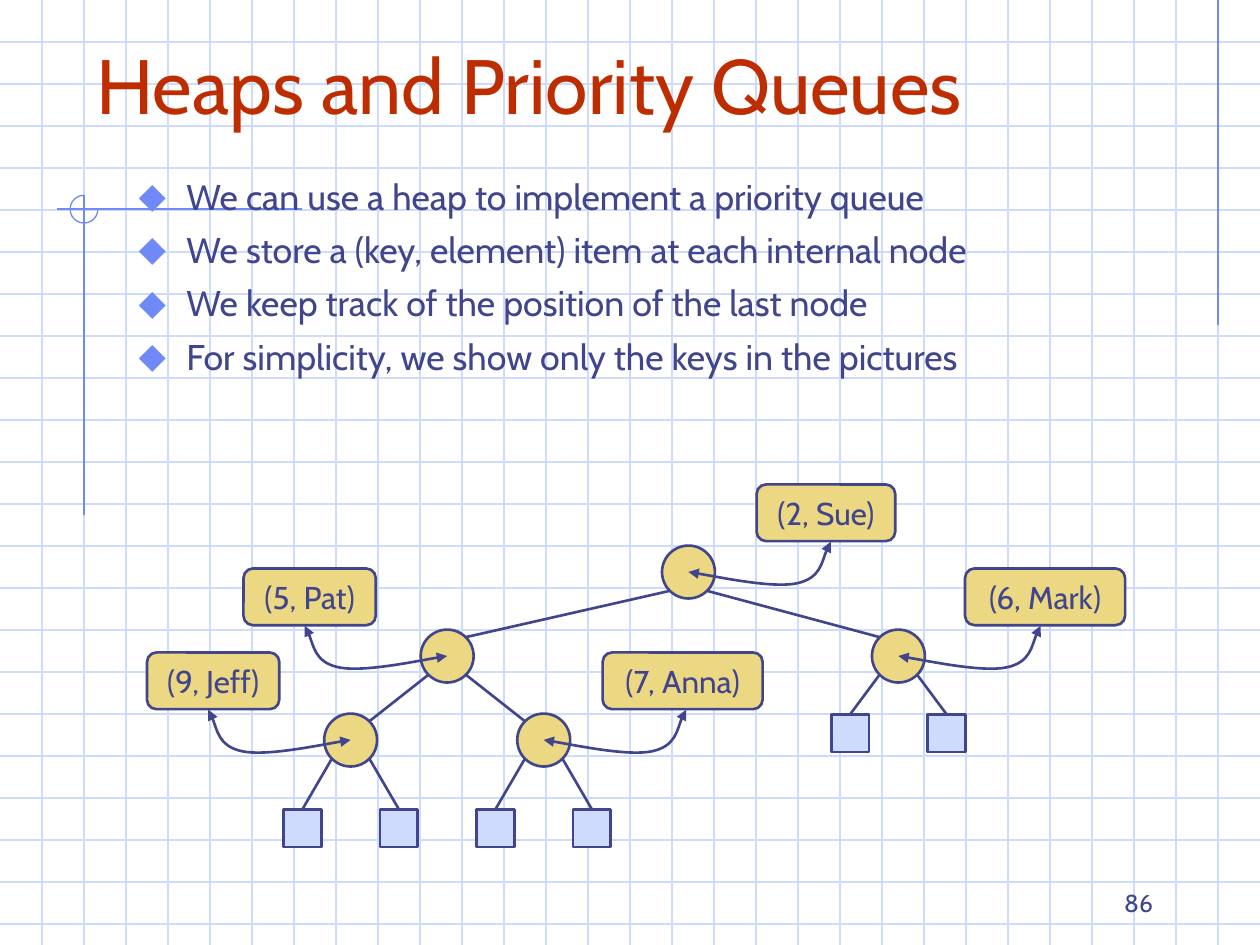
from lxml.etree import SubElement
from pptx import Presentation
from pptx.dml.color import RGBColor
from pptx.enum.shapes import MSO_CONNECTOR as Connector, MSO_SHAPE as Shape
from pptx.enum.text import MSO_ANCHOR as Anchor, MSO_AUTO_SIZE as AutoSize, PP_ALIGN as Align
from pptx.oxml.ns import qn
from pptx.util import Inches, Pt

FONT = "Cabin"
INK, RED, BLUE = "40458C", "BE2D00", "6F89F7"
PALE, GOLD = "CFDBFD", "ECD882"
CELL = 1 / 3  # graph paper square, in inches
COLUMNS, ROWS = 30, 22.5

# Tree nodes: name -> (column, row)
NODES = {"2": (8, 0), "5": (3, 1), "6": (12.35, 1), "9": (1, 2), "7": (5, 2)}
EDGES = [("2", "5"), ("2", "6"), ("5", "9"), ("5", "7")]
LEAF_ROWS = {"9": 3.05, "7": 3.05, "6": 1.92}
# Labels: node -> (text, column offset from the node, width)
LABELS = {
    "2": ("(2, Sue)", 2.85, 1.1),
    "6": ("(6, Mark)", 3.04, 1.27),
    "5": ("(5, Pat)", -2.85, 1.05),
    "9": ("(9, Jeff)", -2.85, 1.05),
    "7": ("(7, Anna)", 2.88, 1.27),
}
# Pointer curve from a node's centre: start, then two cubic segments
CURVE = [(0, 0), (0.14, 0.02), (0.67, 0.13), (0.86, 0.09),
         (1.05, 0.05), (1.08, -0.17), (1.13, -0.24)]
BULLETS = [
    "We can use a heap to implement a priority queue",
    "We store a (key, element) item at each internal node",
    "We keep track of the position of the last node",
    "For simplicity, we show only the keys in the pictures",
]


def color(value):
    return RGBColor.from_string(value)


def style_font(paragraph, size, value=INK):
    font = paragraph.font
    font.name, font.size = FONT, Pt(size)
    font.color.rgb = color(value)


def style_shape(shape, fill, line=INK, width=1.5):
    shape.shadow.inherit = False
    if fill:
        shape.fill.solid()
        shape.fill.fore_color.rgb = color(fill)
    else:
        shape.fill.background()
    shape.line.color.rgb = color(line)
    shape.line.width = Pt(width)


def add_line(slide, start, end, value=INK, width=1.5):
    points = [Inches(length) for length in (*start, *end)]
    line = slide.shapes.add_connector(Connector.STRAIGHT, *points)
    line.line.color.rgb = color(value)
    line.line.width = Pt(width)
    SubElement(line._element.spPr, qn("a:effectLst"))
    return line


def add_centred(slide, kind, x, y, width, height, fill):
    box = [Inches(n) for n in (x - width / 2, y - height / 2, width, height)]
    shape = slide.shapes.add_shape(kind, *box)
    style_shape(shape, fill)
    return shape


def place(shape, left, top, width, height):
    shape.left, shape.top = Inches(left), Inches(top)
    shape.width, shape.height = Inches(width), Inches(height)


def draw_background(slide, width, height):
    # Graph paper
    for row in range(1, int(ROWS) + 1):
        add_line(slide, (0, row * CELL), (width, row * CELL), PALE, 0.75)
    for column in range(1, COLUMNS):
        add_line(slide, (column * CELL, 0), (column * CELL, height), PALE, 0.75)
    # Drafting marks
    x, y, radius = 2 * CELL, 1.66, 0.11
    add_line(slide, (29 * CELL, 0), (29 * CELL, 2.58), BLUE, 0.75)
    add_line(slide, (2.4, y), (0.45, y), BLUE, 0.75)
    add_line(slide, (x, y - radius), (x, 4.09), BLUE, 0.75)
    arc = add_centred(slide, Shape.ARC, x, y, 2 * radius, 2 * radius, None)
    arc.adjustments[0], arc.adjustments[1] = 0, 162  # right side round to top
    style_shape(arc, None, BLUE, 0.75)


def fill_title(slide, *box):
    title = slide.shapes.title
    slide.shapes._spTree.append(title._element)  # in front of the grid
    place(title, *box)
    frame = title.text_frame
    frame.text = "Heaps and Priority Queues"
    frame.auto_size, frame.vertical_anchor = AutoSize.NONE, Anchor.BOTTOM
    frame.paragraphs[0].alignment = Align.LEFT
    style_font(frame.paragraphs[0], 44, RED)


def fill_body(slide, *box):
    body = slide.placeholders[1]
    slide.shapes._spTree.append(body._element)
    place(body, *box)
    frame = body.text_frame
    frame.text = "\n".join(BULLETS)
    frame.auto_size = AutoSize.NONE
    for index, paragraph in enumerate(frame.paragraphs):
        paragraph.space_before = Pt(6 if index else 0)
        properties = paragraph._p.get_or_add_pPr()
        properties.set("marL", str(Inches(0.38)))
        properties.set("indent", str(-Inches(0.38)))
        bullet_color = SubElement(properties, qn("a:buClr"))
        SubElement(bullet_color, qn("a:srgbClr"), val=BLUE)
        SubElement(properties, qn("a:buSzPct"), val="110000")
        SubElement(properties, qn("a:buChar"), char="⬥")
        style_font(paragraph, 20.4)


def add_pointer(slide, x, y, side):
    """Double-headed curve from a node's centre to its label."""
    points = [(round(1000 * (x + side * dx)), round(1000 * (y + dy))) for dx, dy in CURVE]
    builder = slide.shapes.build_freeform(*points[0], scale=Inches(1) / 1000)
    builder.add_line_segments(points[1:], close=False)
    curve = builder.convert_to_shape()
    style_shape(curve, None)
    left, top = (min(values) for values in zip(*points))
    outline = curve._element.spPr.find(".//" + qn("a:path"))
    for segment in outline.findall(qn("a:lnTo")):
        outline.remove(segment)
    for first in (1, 4):
        segment = SubElement(outline, qn("a:cubicBezTo"))
        for px, py in points[first:first + 3]:
            SubElement(segment, qn("a:pt"), x=str(px - left), y=str(py - top))
    for end in ("a:headEnd", "a:tailEnd"):
        SubElement(curve.line._get_or_add_ln(), qn(end), type="triangle")


def draw_tree(slide, left, top, column, row):
    """Heap whose first leaf column is at left and whose root row is at top."""
    centres = {name: (left + c * column, top + r * row) for name, (c, r) in NODES.items()}
    reach = 0.15  # from a circle's centre to its diagonal rim point
    for x, y in centres.values():
        add_centred(slide, Shape.OVAL, x, y, 0.42, 0.42, GOLD)
    # Edges between internal nodes
    for parent, child in EDGES:
        (x1, y1), (x2, y2) = centres[parent], centres[child]
        side = 1 if x2 > x1 else -1
        add_line(slide, (x1 + side * reach, y1 + reach), (x2 - side * reach, y2 - reach))
    # Leaves
    for name, leaf_row in LEAF_ROWS.items():
        x, y = centres[name]
        for side in (-1, 1):
            leaf_x, leaf_y = x + side * column, top + leaf_row * row
            leaf = add_centred(slide, Shape.RECTANGLE, leaf_x, leaf_y, 0.3, 0.3, PALE)
            edge = add_line(slide, (x + side * reach, y + reach), (leaf_x, leaf_y - 0.15))
            edge.end_connect(leaf, 0)
    # Item labels and their pointers
    for name, (text, offset, width) in LABELS.items():
        x, y = centres[name]
        label = add_centred(slide, Shape.ROUNDED_RECTANGLE, x + offset * column,
                            y - 0.47, width, 0.45, GOLD)
        frame = label.text_frame
        frame.text = text
        frame.word_wrap, frame.vertical_anchor = False, Anchor.MIDDLE
        frame.paragraphs[0].alignment = Align.CENTER
        style_font(frame.paragraphs[0], 18)
        add_pointer(slide, x, y, 1 if offset > 0 else -1)


def add_page_number(slide, *box):
    frame = slide.shapes.add_textbox(*map(Inches, box)).text_frame
    frame.text = "86"
    frame.word_wrap, frame.vertical_anchor = True, Anchor.BOTTOM
    frame.paragraphs[0].alignment = Align.RIGHT
    style_font(frame.paragraphs[0], 14)


def main():
    presentation = Presentation()
    width, height = COLUMNS * CELL, ROWS * CELL
    presentation.slide_width, presentation.slide_height = Inches(width), Inches(height)
    slide = presentation.slides.add_slide(presentation.slide_layouts[1])
    draw_background(slide, width, height)
    fill_title(slide, 2 * CELL, CELL, 8.5, 0.75)
    fill_body(slide, 3 * CELL, 4 * CELL, 7.95, 1.89)
    draw_tree(slide, 2.4, 4.54, 0.383, 2 * CELL)
    add_page_number(slide, 7.17, 6.83, 2.08, 0.5)
    presentation.save("out.pptx")


if __name__ == "__main__":
    main()
